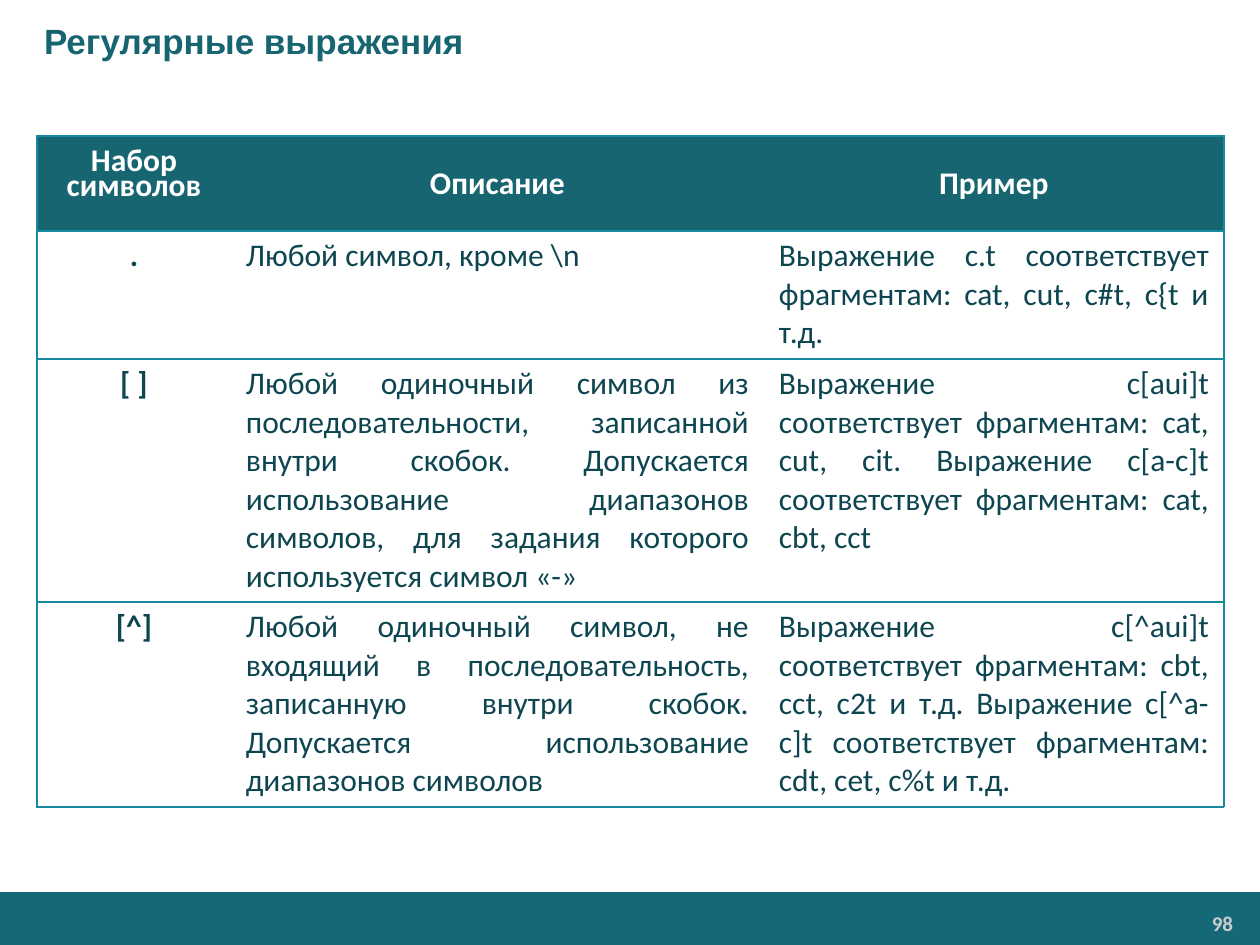
"""Build the slide with a table of regular expression character sets."""
from lxml.etree import SubElement as Sub
from pptx import Presentation
from pptx.dml.color import RGBColor as RGB
from pptx.enum.shapes import MSO_SHAPE as Kind
from pptx.enum.text import MSO_ANCHOR as Anchor, MSO_AUTO_SIZE as Auto, PP_ALIGN as Align
from pptx.oxml.ns import qn
from pptx.util import Pt

PX = 914400 / 126
TEAL, EDGE, INK = "176571", "178AA0", "0D4650"


def px(*sizes):
    return [round(size * PX) for size in sizes]


def put(para, text, size, hue, bold=True, face="Calibri", align=Align.CENTER):
    para.alignment = align
    run = para.add_run()
    run.text = text
    run.font.size, run.font.name, run.font.bold = Pt(size), face, bold
    run.font.color.rgb = RGB.from_string(hue)


deck = Presentation()
deck.slide_width, deck.slide_height = px(1260, 945)
slide = deck.slides.add_slide(deck.slide_layouts[5])
shapes = slide.shapes

title = shapes.title
title.left, title.top, title.width, title.height = px(0, 0, 1260, 80)
frame = title.text_frame
frame.auto_size = Auto.NONE
frame.vertical_anchor = Anchor.MIDDLE
frame.margin_left = px(44)[0]
put(frame.paragraphs[0], "Регулярные выражения", 20, TEAL, face="Arial", align=Align.LEFT)

band = shapes.add_shape(Kind.RECTANGLE, *px(0, 892, 1261, 54))
band.shadow.inherit = False
band.fill.solid()
band.fill.fore_color.rgb = RGB.from_string("146878")
band.line.fill.background()

frame = shapes.add_textbox(*px(1037, 906, 205, 35)).text_frame
frame.word_wrap = True
frame.margin_left, frame.margin_top, frame.margin_right, frame.margin_bottom = px(9, 5, 9, 5)
put(frame.paragraphs[0], "98", 12, "CCCCCC", align=Align.RIGHT)

rows = [
    (["Набор", "символов"], ["Описание"], ["Пример"]),
    (["."], ["Любой символ, кроме \\n"],
     ["Выражение c.t соответствует фрагментам: cat, cut, c#t, c{t и т.д."]),
    (["[ ]"],
     ["Любой одиночный символ из последовательности, записанной внутри скобок. "
      "Допускается использование диапазонов символов, для задания которого "
      "используется символ «-»"],
     ["Выражение c[aui]t соответствует фрагментам: cat, cut, cit. "
      "Выражение c[a-c]t соответствует фрагментам: cat, cbt, cct"]),
    (["[^]"],
     ["Любой одиночный символ, не входящий в последовательность, записанную "
      "внутри скобок. Допускается использование диапазонов символов"],
     ["Выражение c[^aui]t соответствует фрагментам: cbt, cct, c2t и т.д. "
      "Выражение c[^a-c]t соответствует фрагментам: cdt, cet, c%t и т.д."]),
]
wide, high = px(194, 533, 460), px(95, 128, 243, 205)
table = shapes.add_table(4, 3, *px(37, 136), sum(wide), sum(high)).table
table.horz_banding = False
for col, width in zip(table.columns, wide):
    col.width = width

for r, row in enumerate(rows):
    table.rows[r].height = high[r]
    head = r == 0
    for c, lines in enumerate(row):
        cell = table.cell(r, c)
        stack = len(lines) > 1
        side, top = (11, 0) if stack else (15, 6)
        cell.margin_left, cell.margin_top, cell.margin_right, cell.margin_bottom = px(
            side, top, side, top)
        cell.vertical_anchor = Anchor.MIDDLE if head else Anchor.TOP
        props = cell._tc.get_or_add_tcPr()
        for tag, shown in (("L", c == 0), ("R", c == 2), ("T", True), ("B", True)):
            line = Sub(props, qn("a:ln" + tag), w=str(Pt(0.75)))
            if shown:
                Sub(Sub(line, qn("a:solidFill")), qn("a:srgbClr"), val=EDGE)
            else:
                Sub(line, qn("a:noFill"))
        if head:
            cell.fill.solid()
            cell.fill.fore_color.rgb = RGB.from_string(TEAL)
        else:
            cell.fill.background()
        frame = cell.text_frame
        for n, text in enumerate(lines):
            para = frame.add_paragraph() if n else frame.paragraphs[0]
            if stack:
                para.line_spacing = Pt(10)
                para.space_before = Pt(2 if n else 0)
                para.space_after = Pt(2)
            bold = head or c == 0
            put(para, text, 18, "FFFFFF" if head else INK, bold,
                align=Align.CENTER if bold else Align.JUSTIFY)

deck.save("out.pptx")
